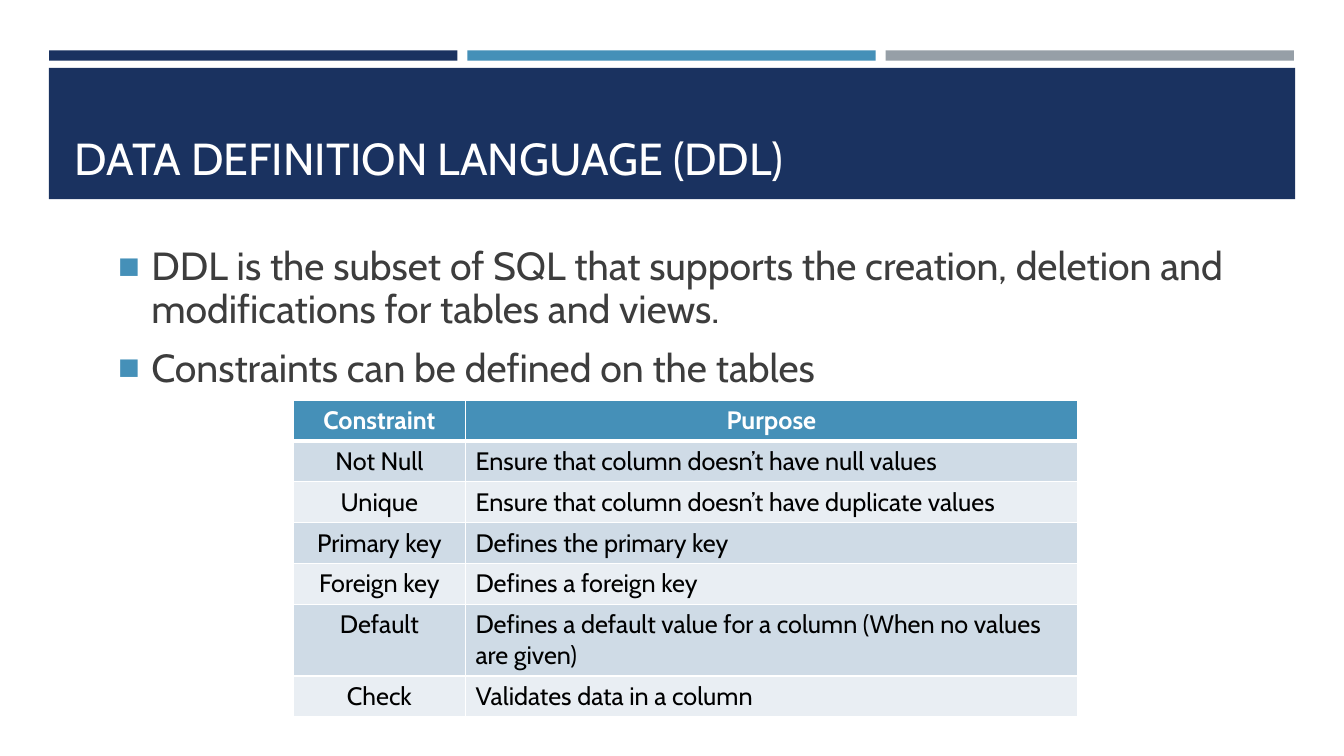
from dataclasses import dataclass

from lxml import etree
from pptx import Presentation
from pptx import util as u
from pptx.dml.color import RGBColor
from pptx.enum import shapes, text
from pptx.oxml import ns

TITLE = "DATA DEFINITION LANGUAGE (DDL)"
POINTS = [
    "DDL is the subset of SQL that supports the creation, deletion and modifications for tables and views.",
    "Constraints can be defined on the tables",
]
CONSTRAINTS = [
    ("Constraint", "Purpose"),
    ("Not Null", "Ensure that column doesn’t have null values"),
    ("Unique", "Ensure that column doesn’t have duplicate values"),
    ("Primary key", "Defines the primary key"),
    ("Foreign key", "Defines a foreign key"),
    ("Default", "Defines a default value for a column (When no values are given)"),
    ("Check", "Validates data in a column"),
]
COLUMN_WIDTHS = (4.34, 15.42)
ROW_HEIGHTS = (1.02, 1.02, 1.02, 1.02, 1.02, 1.78, 1.02)


@dataclass(frozen=True)
class Theme:
    font: str = "Cabin"
    navy: str = "1A3260"
    blue: str = "4590B8"
    grey: str = "969FA7"
    white: str = "FFFFFF"
    black: str = "000000"
    body: str = "3D3D3D"
    bands: tuple = ("E9EEF3", "CFDBE6")
    title_size: int = 32
    body_size: int = 28
    table_size: int = 18


THEME = Theme()


def write(paragraph, words, size, color, bold=False, align=text.PP_ALIGN.LEFT):
    paragraph.alignment = align
    run = paragraph.add_run()
    run.text = words
    run.font.name = THEME.font
    run.font.size = u.Pt(size)
    run.font.bold = bold
    run.font.color.rgb = RGBColor.from_string(color)


def place(shape, left, top, width, height):
    shape.left, shape.top = u.Cm(left), u.Cm(top)
    shape.width, shape.height = u.Cm(width), u.Cm(height)


def add_bar(slide, left, top, width, height, color):
    bar = slide.shapes.add_shape(
        shapes.MSO_SHAPE.RECTANGLE, u.Cm(left), u.Cm(top), u.Cm(width), u.Cm(height))
    bar.shadow.inherit = False
    bar.fill.solid()
    bar.fill.fore_color.rgb = RGBColor.from_string(color)
    bar.line.fill.background()


def add_element(parent, tag, **attributes):
    return etree.SubElement(parent, ns.qn(tag), attributes)


def set_bullet(paragraph):
    properties = paragraph._p.get_or_add_pPr()
    indent = u.Cm(0.84)
    properties.set("marL", str(indent))
    properties.set("indent", str(-indent))
    color = add_element(properties, "a:buClr")
    add_element(color, "a:srgbClr", val=THEME.blue)
    add_element(properties, "a:buSzPct", val="92000")
    add_element(properties, "a:buFont", typeface="Arial")
    add_element(properties, "a:buChar", char="■")


def set_borders(cell, bottom):
    properties = cell._tc.get_or_add_tcPr()
    for side, points in (("L", 1), ("R", 1), ("T", 1), ("B", bottom)):
        line = add_element(properties, f"a:ln{side}", w=str(u.Pt(points)))
        fill = add_element(line, "a:solidFill")
        add_element(fill, "a:srgbClr", val=THEME.white)


def add_banner(slide):
    for index, color in enumerate((THEME.navy, THEME.blue, THEME.grey)):
        add_bar(slide, 1.24 + index * 10.54, 1.27, 10.29, 0.26, color)
    add_bar(slide, 1.23, 1.71, 31.41, 3.31, THEME.navy)


def fill_title(title):
    place(title, 1.63, 1.96, 30.63, 2.82)
    frame = title.text_frame
    frame.auto_size = text.MSO_AUTO_SIZE.NONE
    frame.vertical_anchor = text.MSO_ANCHOR.BOTTOM
    write(frame.paragraphs[0], TITLE, THEME.title_size, THEME.white)


def fill_body(body):
    place(body, 2.72, 5.13, 30.63, 10.21)
    frame = body.text_frame
    frame.auto_size = text.MSO_AUTO_SIZE.NONE
    frame.vertical_anchor = text.MSO_ANCHOR.TOP
    frame.margin_top = u.Cm(1.09)
    for index, point in enumerate(POINTS):
        paragraph = frame.add_paragraph() if index else frame.paragraphs[0]
        paragraph.line_spacing = 0.9
        paragraph.space_before = u.Pt(6)
        paragraph.space_after = u.Pt(6)
        set_bullet(paragraph)
        write(paragraph, point, THEME.body_size, THEME.body)


def add_constraints(slide):
    table = slide.shapes.add_table(
        len(CONSTRAINTS), len(COLUMN_WIDTHS), u.Cm(7.39), u.Cm(10.08),
        u.Cm(sum(COLUMN_WIDTHS)), u.Cm(sum(ROW_HEIGHTS))).table
    for column, width in zip(table.columns, COLUMN_WIDTHS):
        column.width = u.Cm(width)
    for row, height in zip(table.rows, ROW_HEIGHTS):
        row.height = u.Cm(height)
    for row_index, values in enumerate(CONSTRAINTS):
        header = row_index == 0
        for column_index, value in enumerate(values):
            cell = table.cell(row_index, column_index)
            set_borders(cell, 3 if header else 1)
            cell.fill.solid()
            cell.fill.fore_color.rgb = RGBColor.from_string(
                THEME.blue if header else THEME.bands[row_index % 2])
            centred = header or column_index == 0
            write(cell.text_frame.paragraphs[0], value, THEME.table_size,
                  THEME.white if header else THEME.black, bold=header,
                  align=text.PP_ALIGN.CENTER if centred else text.PP_ALIGN.LEFT)


def main():
    presentation = Presentation()
    presentation.slide_width, presentation.slide_height = u.Cm(33.87), u.Cm(19.05)
    slide = presentation.slides.add_slide(presentation.slide_layouts[1])
    title, body = slide.placeholders
    add_banner(slide)
    for placeholder in (title, body):
        slide.shapes._spTree.append(placeholder._element)
    fill_title(title)
    fill_body(body)
    add_constraints(slide)
    presentation.save("out.pptx")


if __name__ == "__main__":
    main()
